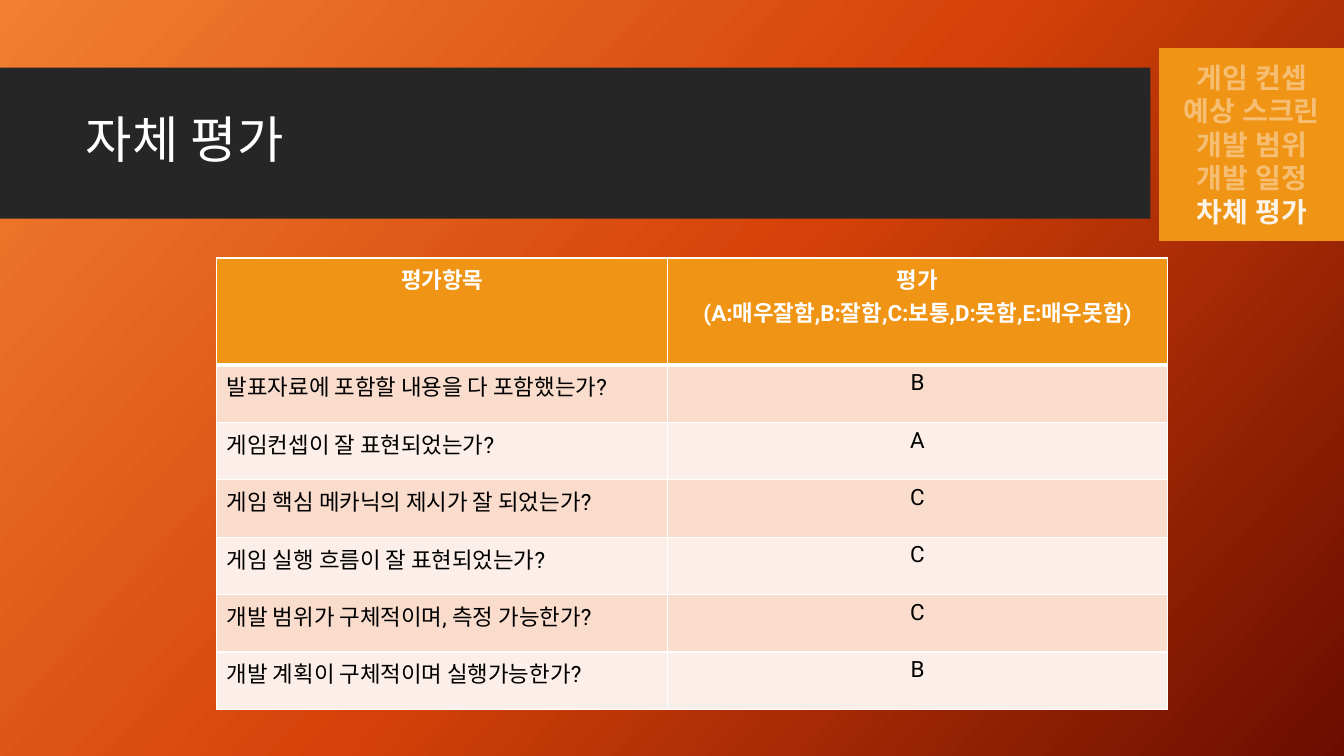
from copy import deepcopy
from dataclasses import dataclass

from lxml import etree
from pptx import Presentation
from pptx.dml.color import RGBColor
from pptx.enum.shapes import MSO_SHAPE
from pptx.enum.text import MSO_ANCHOR, MSO_AUTO_SIZE, PP_ALIGN
from pptx.oxml.ns import qn
from pptx.util import Inches, Pt

RECT = MSO_SHAPE.RECTANGLE
MIDDLE = MSO_ANCHOR.MIDDLE
NO_FIT = MSO_AUTO_SIZE.NONE
LEFT, CENTER = PP_ALIGN.LEFT, PP_ALIGN.CENTER
TITLE_ONLY = 5


@dataclass(frozen=True)
class Theme:
    font: str = "Roboto"
    white: str = "FFFFFF"
    black: str = "000000"
    dark: str = "262626"
    accent: str = "F09415"
    bands: tuple[str, str] = ("F9DCCC", "FCEEE8")
    gradient: tuple[str, ...] = ("F18031", "D54209", "6A0D00")
    gradient_angle: int = 42
    title_size: int = 36
    agenda_size: int = 20
    table_size: int = 16


@dataclass(frozen=True)
class Box:
    left: float
    top: float
    width: float
    height: float
    color: str = ""

    def emu(self):
        return [Inches(v) for v in (self.left, self.top, self.width, self.height)]


@dataclass(frozen=True)
class Rating:
    question: str
    grade: str


THEME = Theme()
BARS = [
    Box(0, 0.67, 11.41, 1.5, THEME.dark),
    Box(11.58, 0.67, 1.75, 1.5, THEME.accent),
]
TITLE = Box(0.75, 0.82, 10.51, 1.18)
AGENDA_BOX = Box(11.5, 0.48, 1.83, 1.9, THEME.accent)
TABLE_BOX = Box(2.15, 2.56, 9.43, 4.16)
COLUMN_WIDTHS = (4.47, 4.96)
HEADER_HEIGHT, ROW_HEIGHT = 0.74, 0.57

AGENDA = ["게임 컨셉", "예상 스크린", "개발 범위", "개발 일정", "차체 평가"]
CURRENT = "차체 평가"
HEADERS = [["평가항목"], ["평가", "(A:매우잘함,B:잘함,C:보통,D:못함,E:매우못함)"]]
RATINGS = [
    Rating("발표자료에 포함할 내용을 다 포함했는가?", "B"),
    Rating("게임컨셉이 잘 표현되었는가?", "A"),
    Rating("게임 핵심 메카닉의 제시가 잘 되었는가?", "C"),
    Rating("게임 실행 흐름이 잘 표현되었는가?", "C"),
    Rating("개발 범위가 구체적이며, 측정 가능한가?", "C"),
    Rating("개발 계획이 구체적이며 실행가능한가?", "B"),
]


def write(p, text: str, *, size: int, color: str = THEME.white, bold: bool = False,
          align=CENTER, spacing: float | None = None, opacity: int = 100,
          east_asian: bool = True) -> None:
    """Add one formatted run; opacity is a percentage, east_asian sets the Hangul font too."""
    p.alignment = align
    if spacing:
        p.line_spacing = spacing
    r = p.add_run()
    r.text = text
    r.font.name = THEME.font
    r.font.size = Pt(size)
    r.font.bold = bold
    r.font.color.rgb = RGBColor.from_string(color)
    r_pr = r.font._element
    if opacity < 100:
        rgb = r_pr.find(f".//{qn('a:srgbClr')}")
        etree.SubElement(rgb, qn("a:alpha"), val=str(opacity * 1000))
    if east_asian:
        r_pr.find(qn("a:latin")).addnext(
            etree.Element(qn("a:ea"), typeface=THEME.font))


def paragraph(tf, index: int):
    return tf.paragraphs[0] if index == 0 else tf.add_paragraph()


def paint_background(s) -> None:
    fill = s.background.fill
    fill.gradient()
    fill.gradient_angle = 360 - THEME.gradient_angle
    stop_list = s._element.find(f".//{qn('a:gsLst')}")
    stop_list.append(deepcopy(stop_list[-1]))
    for i, (stop, color) in enumerate(zip(fill.gradient_stops, THEME.gradient)):
        stop.position = i / (len(THEME.gradient) - 1)
        stop.color.rgb = RGBColor.from_string(color)


def add_block(s, box: Box):
    sp = s.shapes.add_shape(RECT, *box.emu())
    sp.shadow.inherit = False
    sp.fill.solid()
    sp.fill.fore_color.rgb = RGBColor.from_string(box.color)
    sp.line.fill.background()
    return sp


def add_title(s) -> None:
    sp = s.shapes.title
    sp.left, sp.top, sp.width, sp.height = TITLE.emu()
    s.shapes._spTree.append(sp._element)
    tf = sp.text_frame
    tf.auto_size = NO_FIT
    tf.vertical_anchor = MIDDLE
    write(tf.paragraphs[0], "자체 평가", size=THEME.title_size, align=LEFT, spacing=0.9)


def add_agenda(s) -> None:
    sp = add_block(s, AGENDA_BOX)
    sp.line.color.rgb = RGBColor.from_string(THEME.accent)
    sp.line.width = Pt(1)
    tf = sp.text_frame
    tf.word_wrap = True
    tf.vertical_anchor = MIDDLE
    for i, topic in enumerate(AGENDA):
        write(paragraph(tf, i), topic, size=THEME.agenda_size, bold=True,
              opacity=90 if topic == CURRENT else 40)


def set_borders(cell, **widths: int) -> None:
    """Draw white cell borders; keys are L, R, T, B and widths are in points."""
    tc_pr = cell._tc.get_or_add_tcPr()
    for side, width in widths.items():
        ln = etree.SubElement(tc_pr, qn(f"a:ln{side}"), w=str(Pt(width)))
        solid = etree.SubElement(ln, qn("a:solidFill"))
        etree.SubElement(solid, qn("a:srgbClr"), val=THEME.white)


def fill_cell(cell, lines: list[str], fill: str, **text_format) -> None:
    cell.fill.solid()
    cell.fill.fore_color.rgb = RGBColor.from_string(fill)
    for i, line in enumerate(lines):
        write(paragraph(cell.text_frame, i), line, size=THEME.table_size,
              east_asian=False, **text_format)


def add_ratings(s) -> None:
    table = s.shapes.add_table(
        len(RATINGS) + 1, len(COLUMN_WIDTHS), *TABLE_BOX.emu()).table
    for column, width in zip(table.columns, COLUMN_WIDTHS):
        column.width = Inches(width)
    for i, row in enumerate(table.rows):
        row.height = Inches(ROW_HEIGHT if i else HEADER_HEIGHT)
        for cell in row.cells:
            set_borders(cell, L=1, R=1, T=3 if i == 1 else 1, B=1 if i else 3)
    for col, lines in enumerate(HEADERS):
        fill_cell(table.cell(0, col), lines, THEME.accent, bold=True)
    for i, rating in enumerate(RATINGS):
        band = THEME.bands[i % 2]
        fill_cell(table.cell(i + 1, 0), [rating.question], band,
                  color=THEME.black, align=LEFT)
        fill_cell(table.cell(i + 1, 1), [rating.grade], band, color=THEME.black)


def main() -> None:
    prs = Presentation()
    prs.slide_width, prs.slide_height = Inches(13.33), Inches(7.5)
    s = prs.slides.add_slide(prs.slide_layouts[TITLE_ONLY])
    paint_background(s)
    for bar in BARS:
        add_block(s, bar)
    add_title(s)
    add_agenda(s)
    add_ratings(s)
    prs.save("out.pptx")


if __name__ == "__main__":
    main()
